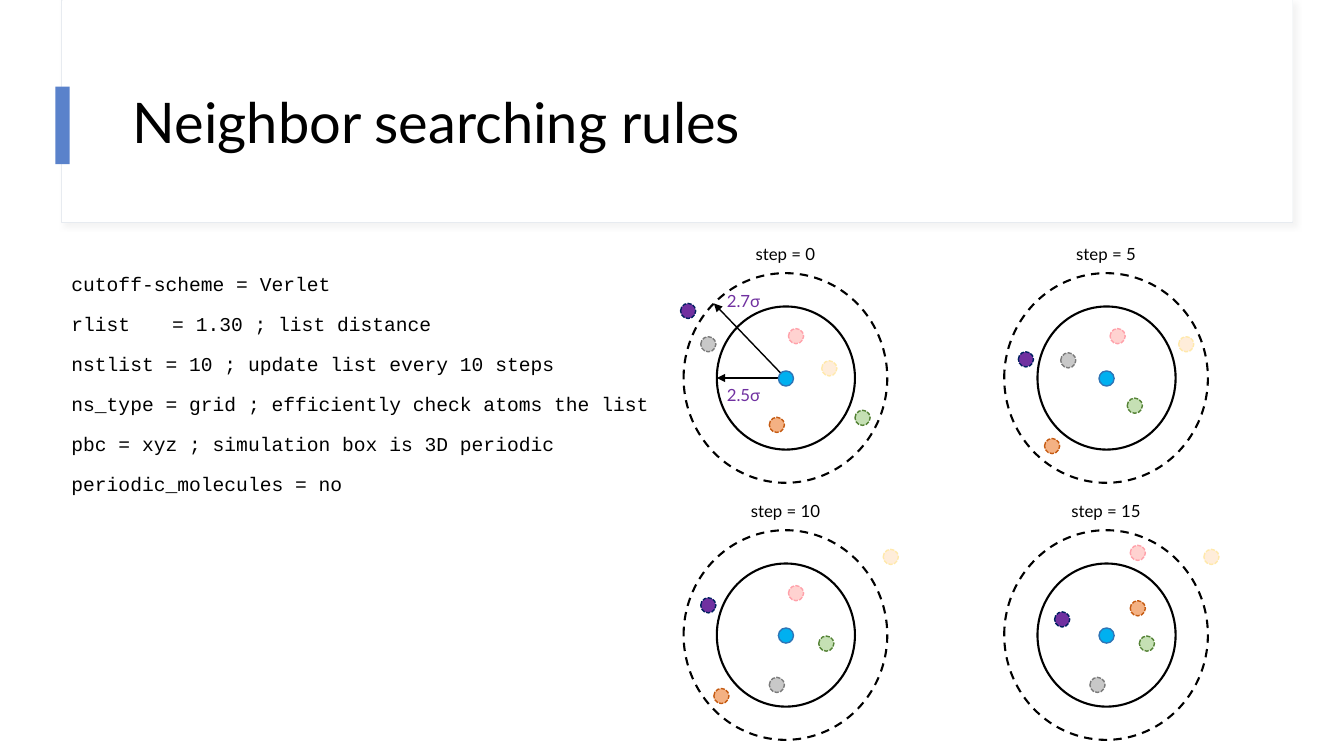
import pptx
import pptx.util
import pptx.dml.color
import pptx.enum.dml
import pptx.enum.shapes
import pptx.enum.text
import pptx.oxml
import pptx.oxml.ns

Inches = pptx.util.Inches
Pt = pptx.util.Pt
RGB = pptx.dml.color.RGBColor
Dash = pptx.enum.dml.MSO_LINE
Kind = pptx.enum.shapes.MSO_SHAPE
Align = pptx.enum.text.PP_ALIGN
Anchor = pptx.enum.text.MSO_ANCHOR

WHITE = RGB(0xFF, 0xFF, 0xFF)
BLACK = RGB(0, 0, 0)
FRAME = RGB(0xE7, 0xEB, 0xF0)
ACCENT = RGB(0x5A, 0x82, 0xCB)
VIOLET = RGB(0x70, 0x30, 0xA0)
CORE = RGB(0x00, 0xB0, 0xF0), RGB(0x2E, 0x75, 0xB6)

# Fill and outline of each neighbor atom
ATOMS = {
    "pink": (RGB(0xFF, 0xD2, 0xD0), RGB(0xFF, 0xA1, 0xAA)),
    "cream": (RGB(0xFF, 0xED, 0xDA), RGB(0xFF, 0xE9, 0xAB)),
    "orange": (RGB(0xF4, 0xB1, 0x83), RGB(0xC5, 0x5A, 0x11)),
    "green": (RGB(0xC5, 0xE0, 0xB4), RGB(0x54, 0x82, 0x35)),
    "gray": (RGB(0xC8, 0xC8, 0xC8), RGB(0x7A, 0x7A, 0x7A)),
    "violet": (VIOLET, RGB(0x00, 0x20, 0x60)),
}

# Atom places in each panel, in the order of ATOMS
STEPS = {
    0: [(1.04, 0.89), (1.37, 1.21), (0.85, 1.77), (1.7, 1.7), (0.17, 0.97), (-0.03, 0.64)],
    5: [(1.05, 0.89), (1.73, 0.97), (0.4, 1.98), (1.22, 1.58), (0.56, 1.13), (0.14, 1.12)],
    10: [(1.04, 0.89), (1.98, 0.53), (0.3, 1.91), (1.34, 1.39), (0.85, 1.8), (0.17, 1.01)],
    15: [(1.25, 0.49), (1.98, 0.53), (1.25, 1.04), (1.34, 1.39), (0.85, 1.8), (0.5, 1.15)],
}

RULES = [
    "cutoff-scheme = Verlet",
    "rlist\t= 1.30 ; list distance",
    "nstlist = 10 ; update list every 10 steps",
    "ns_type = grid ; efficiently check atoms the list",
    "pbc = xyz ; simulation box is 3D periodic",
    "periodic_molecules = no",
]


def add_xml(props, body):
    space = pptx.oxml.ns.nsdecls("a")
    props.append(pptx.oxml.parse_xml(body.replace(">", f" {space}>", 1)))


def add_form(slide, kind, x, y, w, h, fill=None, line=None, width=1, dash=None):
    form = slide.shapes.add_shape(kind, Inches(x), Inches(y), Inches(w), Inches(h))
    form.shadow.inherit = False
    if fill is None:
        form.fill.background()
    else:
        form.fill.solid()
        form.fill.fore_color.rgb = fill
    if line is None:
        form.line.fill.background()
    else:
        form.line.color.rgb = line
        form.line.width = Pt(width)
        if dash is not None:
            form.line.dash_style = dash
    return form


def add_text(slide, x, y, w, h, lines, size, font="Lato", color=BLACK,
             align=Align.LEFT, anchor=Anchor.TOP, space=1.0, before=0):
    box = slide.shapes.add_textbox(Inches(x), Inches(y), Inches(w), Inches(h))
    frame = box.text_frame
    frame.word_wrap = True
    frame.vertical_anchor = anchor
    frame.text = "\n".join(lines)
    for para in frame.paragraphs:
        para.alignment = align
        para.line_spacing = space
        para.space_before = Pt(before)
        para.font.size = Pt(size)
        para.font.name = font
        para.font.color.rgb = color


def add_arrow(slide, x1, y1, x2, y2):
    arrow = slide.shapes.add_connector(
        pptx.enum.shapes.MSO_CONNECTOR.STRAIGHT,
        Inches(x1), Inches(y1), Inches(x2), Inches(y2))
    arrow.line.color.rgb = BLACK
    arrow.line.width = Pt(1)
    props = arrow.element.spPr
    add_xml(arrow.line._get_or_add_ln(), '<a:tailEnd type="triangle"></a:tailEnd>')
    add_xml(props, "<a:effectLst></a:effectLst>")


def add_header(slide, x, y, w, h):
    # Framed white band with a faint shadow
    band = add_form(slide, Kind.RECTANGLE, x, y, w, h, WHITE, FRAME, 0.75)
    props = band.element.spPr
    props.remove(props.find(pptx.oxml.ns.qn("a:effectLst")))
    add_xml(props, '<a:effectLst><a:outerShdw blurRad="50800" dist="38100" dir="2700000">'
                   '<a:srgbClr val="D9D9D9"><a:alpha val="30000"/></a:srgbClr>'
                   '</a:outerShdw></a:effectLst>')
    add_form(slide, Kind.RECTANGLE, x + 0.01, y, w - 0.01, h - 0.01, WHITE)
    # Accent bar and title
    add_form(slide, Kind.RECTANGLE, x - 0.06, y + 0.86, 0.14, 0.77, ACCENT)
    add_text(slide, x + 0.61, y + 0.6, 11.12, 1.29, ["Neighbor searching rules"],
             40, anchor=Anchor.MIDDLE, space=0.9)


def add_rules(slide, x, y, w, h):
    add_text(slide, x, y, w, h, RULES, 14, "Courier New", space=1.1, before=10)


def add_radii(slide, x, y):
    for tip_x, tip_y in [(0.33, 1.38), (0.3, 0.64)]:
        add_arrow(slide, x + 1.01, y + 1.38, x + tip_x, y + tip_y)
    for label, top in [("2.7σ", 0.47), ("2.5σ", 1.4)]:
        add_text(slide, x + 0.33, y + top, 0.69, 0.3, [label], 12, color=VIOLET)


def add_panel(slide, x, y, step, spots):
    # Outer list range and inner cutoff
    add_form(slide, Kind.OVAL, x, y + 0.34, 2.02, 2.08, None, BLACK, 1.5, Dash.DASH)
    add_form(slide, Kind.OVAL, x + 0.33, y + 0.67, 1.37, 1.42, None, BLACK, 1.5)
    if step == 0:
        add_radii(slide, x, y)
    add_text(slide, x + 0.55, y, 0.92, 0.3, [f"step = {step}"], 12, align=Align.CENTER)
    # Central atom and its neighbors
    add_form(slide, Kind.OVAL, x + 0.94, y + 1.31, 0.15, 0.15, *CORE)
    for (fill, line), (left, top) in zip(ATOMS.values(), spots):
        add_form(slide, Kind.OVAL, x + left, y + top, 0.15, 0.15,
                 fill, line, 1, Dash.SQUARE_DOT)


def add_panels(slide, x, y, pitch_x, pitch_y):
    for place, (step, spots) in enumerate(STEPS.items()):
        row, col = divmod(place, 2)
        add_panel(slide, x + col * pitch_x, y + row * pitch_y, step, spots)


deck = pptx.Presentation()
deck.slide_width = Inches(13.33)
deck.slide_height = Inches(7.5)
page = deck.slides.add_slide(deck.slide_layouts[6])
add_header(page, 0.61, 0, 12.21, 2.21)
add_rules(page, 0.61, 2.63, 6.42, 3.16)
add_panels(page, 6.78, 2.37, 3.18, 2.55)
deck.save("out.pptx")
